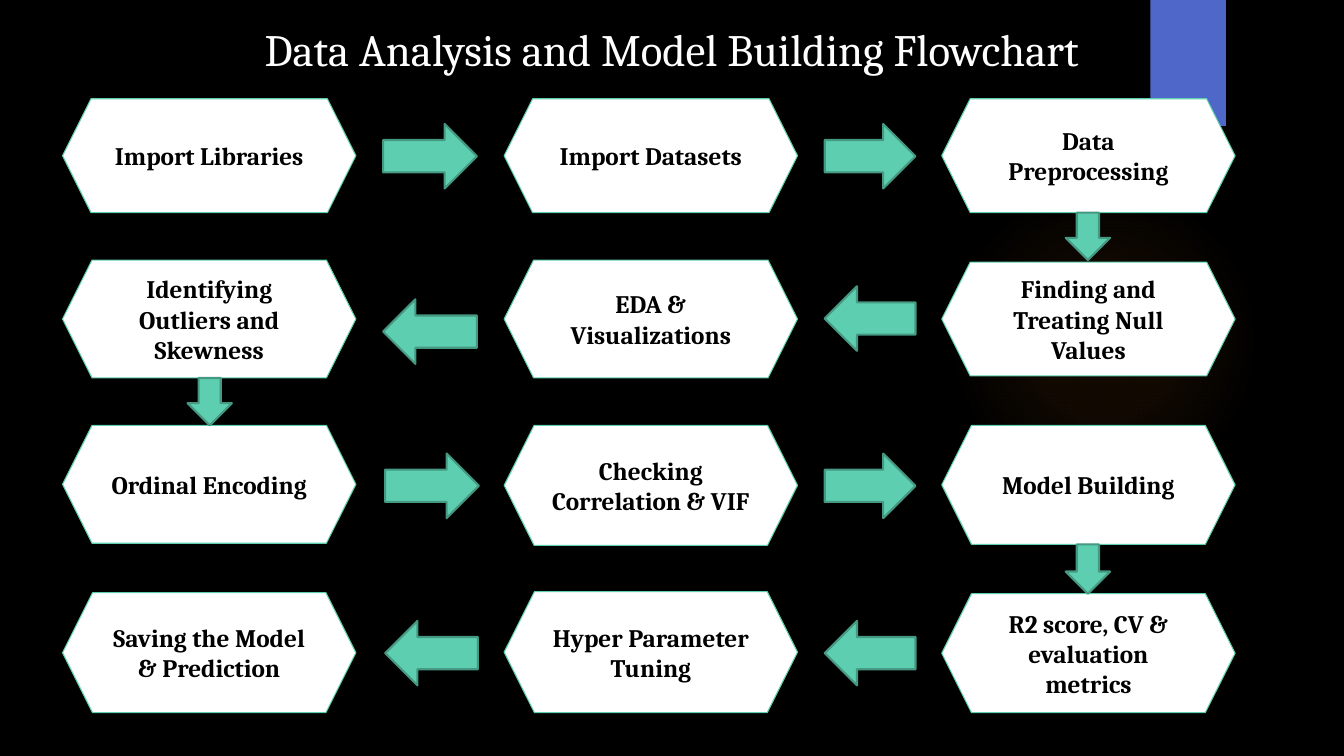
"""Build the data analysis and model building flowchart slide."""
from dataclasses import dataclass

from pptx import Presentation
from pptx.dml.color import RGBColor
from pptx.enum.shapes import MSO_SHAPE
from pptx.enum.text import MSO_ANCHOR, MSO_AUTO_SIZE, PP_ALIGN
from pptx.oxml import parse_xml
from pptx.oxml.ns import nsdecls
from pptx.shapes.autoshape import Shape
from pptx.slide import Slide
from pptx.text.text import TextFrame
from pptx.util import Inches, Pt

ELLIPSE, RECTANGLE, HEXAGON = MSO_SHAPE.OVAL, MSO_SHAPE.RECTANGLE, MSO_SHAPE.HEXAGON
RIGHT, LEFT, DOWN = MSO_SHAPE.RIGHT_ARROW, MSO_SHAPE.LEFT_ARROW, MSO_SHAPE.DOWN_ARROW
CENTER, MIDDLE = PP_ALIGN.CENTER, MSO_ANCHOR.MIDDLE
NO_AUTOFIT = MSO_AUTO_SIZE.NONE

BLACK, WHITE, BLUE = "000000", "FFFFFF", "4E67C8"
GREEN, DARK_GREEN, ORANGE = "5DCEAF", "459881", "FF8021"
GLOW_STOPS = ((0, 7), (36, 6), (69, 0))

COLUMN_LEFTS = (0.62, 5, 9.34)
STEP_WIDTH = 2.91
ARROW_HEIGHT = 0.64
DOWN_WIDTH = 0.44
TITLE_FORMAT = {"name": "Cambria", "size": Pt(32), "bold": False}
STEP_FORMAT = {"name": "Cambria", "size": Pt(18), "bold": True}


@dataclass(frozen=True)
class Step:
    """One hexagon of the flow, placed in a column."""
    label: str
    column: int
    top: float
    height: float


@dataclass(frozen=True)
class Arrow:
    """One block arrow between two steps."""
    kind: MSO_SHAPE
    left: float
    top: float
    width: float
    height: float = ARROW_HEIGHT


STEPS = (
    Step("Import Libraries", 0, 0.98, 1.13),
    Step("Import Datasets", 1, 0.98, 1.13),
    Step("Data Preprocessing", 2, 0.98, 1.13),
    Step("Finding and Treating Null Values", 2, 2.6, 1.13),
    Step("EDA & Visualizations", 1, 2.58, 1.17),
    Step("Identifying Outliers and Skewness", 0, 2.58, 1.17),
    Step("Ordinal Encoding", 0, 4.22, 1.17),
    Step("Checking Correlation & VIF", 1, 4.22, 1.19),
    Step("Model Building", 2, 4.22, 1.18),
    Step("R2 score, CV & evaluation metrics", 2, 5.89, 1.18),
    Step("Hyper Parameter Tuning", 1, 5.87, 1.2),
    Step("Saving the Model & Prediction", 0, 5.88, 1.19),
)
ARROWS = (
    Arrow(RIGHT, 3.8, 1.23, 0.93),
    Arrow(RIGHT, 8.18, 1.23, 0.9),
    Arrow(DOWN, 10.57, 2.11, DOWN_WIDTH, 0.47),
    Arrow(LEFT, 8.18, 2.84, 0.9),
    Arrow(LEFT, 3.8, 2.97, 0.93),
    Arrow(DOWN, 1.86, 3.75, DOWN_WIDTH, 0.47),
    Arrow(RIGHT, 3.82, 4.5, 0.93),
    Arrow(RIGHT, 8.18, 4.5, 0.9),
    Arrow(DOWN, 10.57, 5.4, DOWN_WIDTH, 0.49),
    Arrow(LEFT, 8.18, 6.16, 0.9),
    Arrow(LEFT, 3.82, 6.16, 0.92),
)


def color(value: str) -> RGBColor:
    """Turn a hex string into a colour."""
    return RGBColor.from_string(value)


def add_block(slide: Slide, kind: MSO_SHAPE, left: float, top: float, width: float,
              height: float, fill: str, line: str = "", line_width: float = 0) -> Shape:
    """Add a flat preset shape, outlined only when a line colour is given."""
    shape = slide.shapes.add_shape(
        kind, Inches(left), Inches(top), Inches(width), Inches(height))
    shape.shadow.inherit = False
    shape.fill.solid()
    shape.fill.fore_color.rgb = color(fill)
    if line:
        shape.line.color.rgb = color(line)
        shape.line.width = Pt(line_width)
    else:
        shape.line.fill.background()
    return shape


def write_text(frame: TextFrame, text: str, text_color: str, font_format: dict) -> None:
    """Write one centred paragraph in the middle of a text frame."""
    frame.text = text
    frame.word_wrap = True
    frame.auto_size = NO_AUTOFIT
    frame.vertical_anchor = MIDDLE
    paragraph = frame.paragraphs[0]
    paragraph.alignment = CENTER
    font = paragraph.runs[0].font
    for name, value in font_format.items():
        setattr(font, name, value)
    font.color.rgb = color(text_color)


def add_glow(slide: Slide) -> None:
    """Add the faint round glow behind the flow."""
    shape = add_block(slide, ELLIPSE, 9.41, 1.83, 3.08, 3.08, ORANGE)
    stops = "".join(
        f'<a:gs pos="{position * 1000}"><a:srgbClr val="{ORANGE}">'
        f'<a:alpha val="{opacity * 1000}"/></a:srgbClr></a:gs>'
        for position, opacity in GLOW_STOPS)
    gradient = parse_xml(
        f'<a:gradFill {nsdecls("a")}><a:gsLst>{stops}</a:gsLst><a:path path="circle">'
        '<a:fillToRect l="50000" t="50000" r="50000" b="50000"/></a:path></a:gradFill>')
    properties = shape.element.spPr
    properties.replace(properties.find("{*}solidFill"), gradient)


def add_title(slide: Slide) -> None:
    """Place and format the slide title."""
    title = slide.shapes.title
    title.left, title.top = Inches(0), Inches(0.16)
    title.width, title.height = Inches(13.33), Inches(0.64)
    write_text(title.text_frame, "Data Analysis and Model Building Flowchart",
               WHITE, TITLE_FORMAT)


def add_step(slide: Slide, step: Step) -> None:
    """Add one labelled hexagon."""
    shape = add_block(slide, HEXAGON, COLUMN_LEFTS[step.column], step.top, STEP_WIDTH,
                      step.height, WHITE, GREEN, 0.75)
    write_text(shape.text_frame, step.label, BLACK, STEP_FORMAT)


def add_arrow(slide: Slide, arrow: Arrow) -> None:
    """Add one block arrow."""
    add_block(slide, arrow.kind, arrow.left, arrow.top, arrow.width, arrow.height,
              GREEN, DARK_GREEN, 1.5)


def main() -> None:
    """Build and save the presentation."""
    presentation = Presentation()
    presentation.slide_width, presentation.slide_height = Inches(13.33), Inches(7.5)
    slide = presentation.slides.add_slide(presentation.slide_layouts[5])
    slide.background.fill.solid()
    slide.background.fill.fore_color.rgb = color(BLACK)
    add_glow(slide)
    add_block(slide, RECTANGLE, 11.41, 0, 0.75, 1.25, BLUE)
    add_title(slide)
    for step in STEPS:
        add_step(slide, step)
    for arrow in ARROWS:
        add_arrow(slide, arrow)
    presentation.save("out.pptx")


if __name__ == "__main__":
    main()
